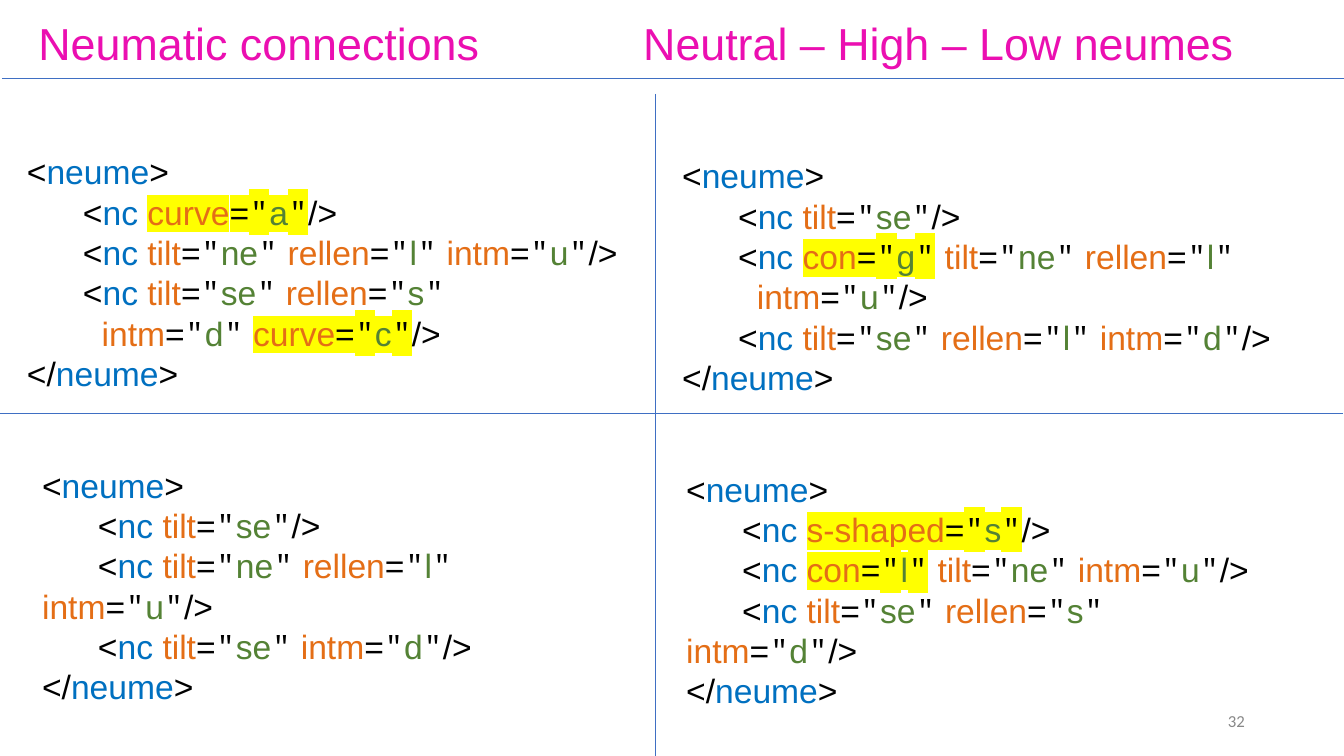
from itertools import groupby

from lxml.etree import SubElement
from pptx import Presentation
from pptx.dml.color import RGBColor
from pptx.enum.shapes import MSO_CONNECTOR
from pptx.enum.text import MSO_ANCHOR, MSO_AUTO_SIZE, PP_ALIGN
from pptx.oxml.ns import qn
from pptx.util import Pt

COLORS = {
    "title": "EB0FB1",
    "rule": "3F6FC3",
    "mark": "000000",
    "tag": "0070C0",
    "attribute": "E46E16",
    "value": "548235",
    "highlight": "FFFF00",
    "number": "888888",
}
TEXT_FONT = "Arial"
QUOTE_FONT = "Noto Sans Mono"
TITLE_TAB = 432

RULES = [
    (468, 67, 468, 540),
    (0, 295.2, 959, 295.2),
    (1.4, 56.2, 960, 56.2),
]

# Asterisks enclose highlighted code.
CODE_BLOCKS = [
    ((12.2, 104.4, 440.6, 181.4), [
        '<neume>',
        '      <nc *curve="a"*/>',
        '      <nc tilt="ne" rellen="l" intm="u"/>',
        '      <nc tilt="se" rellen="s"',
        '        intm="d" *curve="c"*/>',
        '</neume>',
    ]),
    ((480.2, 107.3, 478, 181.4), [
        '<neume>',
        '      <nc tilt="se"/>',
        '      <nc *con="g"* tilt="ne" rellen="l"',
        '        intm="u"/>',
        '      <nc tilt="se" rellen="l" intm="d"/>',
        '</neume>',
    ]),
    ((23, 328.3, 432, 152.6), [
        '<neume>',
        '      <nc tilt="se"/>',
        '      <nc tilt="ne" rellen="l" intm="u"/>',
        '      <nc tilt="se" intm="d"/>',
        '</neume>',
    ]),
    ((483.1, 331.2, 438, 152.6), [
        '<neume>',
        '      <nc *s-shaped="s"*/>',
        '      <nc *con="l"* tilt="ne" intm="u"/>',
        '      <nc tilt="se" rellen="s" intm="d"/>',
        '</neume>',
    ]),
]


def add_run(paragraph, text, size, color, font=TEXT_FONT, highlighted=False):
    run = paragraph.add_run()
    run.text = text
    run.font.size = Pt(size)
    run.font.color.rgb = RGBColor.from_string(COLORS[color])
    if highlighted:
        highlight = SubElement(run.font._element, qn("a:highlight"))
        SubElement(highlight, qn("a:srgbClr")).set("val", COLORS["highlight"])
    run.font.name = font


def is_name_letter(letter):
    return letter.isalpha() or letter == "-"


def split_markup(markup):
    previous = ""
    for is_name, letters in groupby(markup, is_name_letter):
        text = "".join(letters)
        if not is_name:
            kind = "mark"
        elif previous.endswith(("<", "/")):
            kind = "tag"
        else:
            kind = "attribute"
        yield text, kind
        previous = text


def add_code_line(paragraph, line):
    for segment_index, segment in enumerate(line.split("*")):
        highlighted = segment_index % 2 == 1
        for part_index, part in enumerate(segment.split('"')):
            if part_index:
                add_run(paragraph, '"', 24, "mark", QUOTE_FONT, highlighted)
            pieces = [(part, "value")] if part_index % 2 else split_markup(part)
            for text, kind in pieces:
                add_run(paragraph, text, 24, kind, TEXT_FONT, highlighted)


def add_text_box(slide, box):
    frame = slide.shapes.add_textbox(*map(Pt, box)).text_frame
    frame.word_wrap = True
    return frame


def add_code_block(slide, box, lines):
    frame = add_text_box(slide, box)
    for index, line in enumerate(lines):
        paragraph = frame.add_paragraph() if index else frame.paragraphs[0]
        add_code_line(paragraph, line)


def add_rule(slide, ends):
    rule = slide.shapes.add_connector(MSO_CONNECTOR.STRAIGHT, *map(Pt, ends))
    rule.line.color.rgb = RGBColor.from_string(COLORS["rule"])
    rule.line.width = Pt(0.75)
    SubElement(rule._element.spPr, qn("a:effectLst"))


def fill_title(slide):
    title = slide.shapes.title
    title.left, title.top, title.width, title.height = map(Pt, (20.2, 7.9, 939.8, 46.1))
    frame = title.text_frame
    frame.auto_size = MSO_AUTO_SIZE.NONE
    frame.vertical_anchor = MSO_ANCHOR.TOP
    paragraph = frame.paragraphs[0]
    paragraph.alignment = PP_ALIGN.LEFT
    tabs = SubElement(paragraph._p.get_or_add_pPr(), qn("a:tabLst"))
    tab = SubElement(tabs, qn("a:tab"))
    tab.set("pos", str(Pt(TITLE_TAB)))
    tab.set("algn", "l")
    add_run(paragraph, "Neumatic connections\tNeutral – High – Low neumes", 32, "title")


def add_slide_number(slide, number):
    frame = add_text_box(slide, (678.2, 500.4, 216, 28.8))
    frame.vertical_anchor = MSO_ANCHOR.MIDDLE
    frame.margin_left = frame.margin_right = Pt(5)
    frame.margin_top = frame.margin_bottom = Pt(2.9)
    paragraph = frame.paragraphs[0]
    paragraph.alignment = PP_ALIGN.RIGHT
    add_run(paragraph, number, 12, "number", "Calibri")


def main():
    presentation = Presentation()
    presentation.slide_width = Pt(960)
    presentation.slide_height = Pt(540)
    slide = presentation.slides.add_slide(presentation.slide_layouts[5])
    fill_title(slide)
    for ends in RULES:
        add_rule(slide, ends)
    for box, lines in CODE_BLOCKS:
        add_code_block(slide, box, lines)
    add_slide_number(slide, "32")
    presentation.save("out.pptx")


if __name__ == "__main__":
    main()
